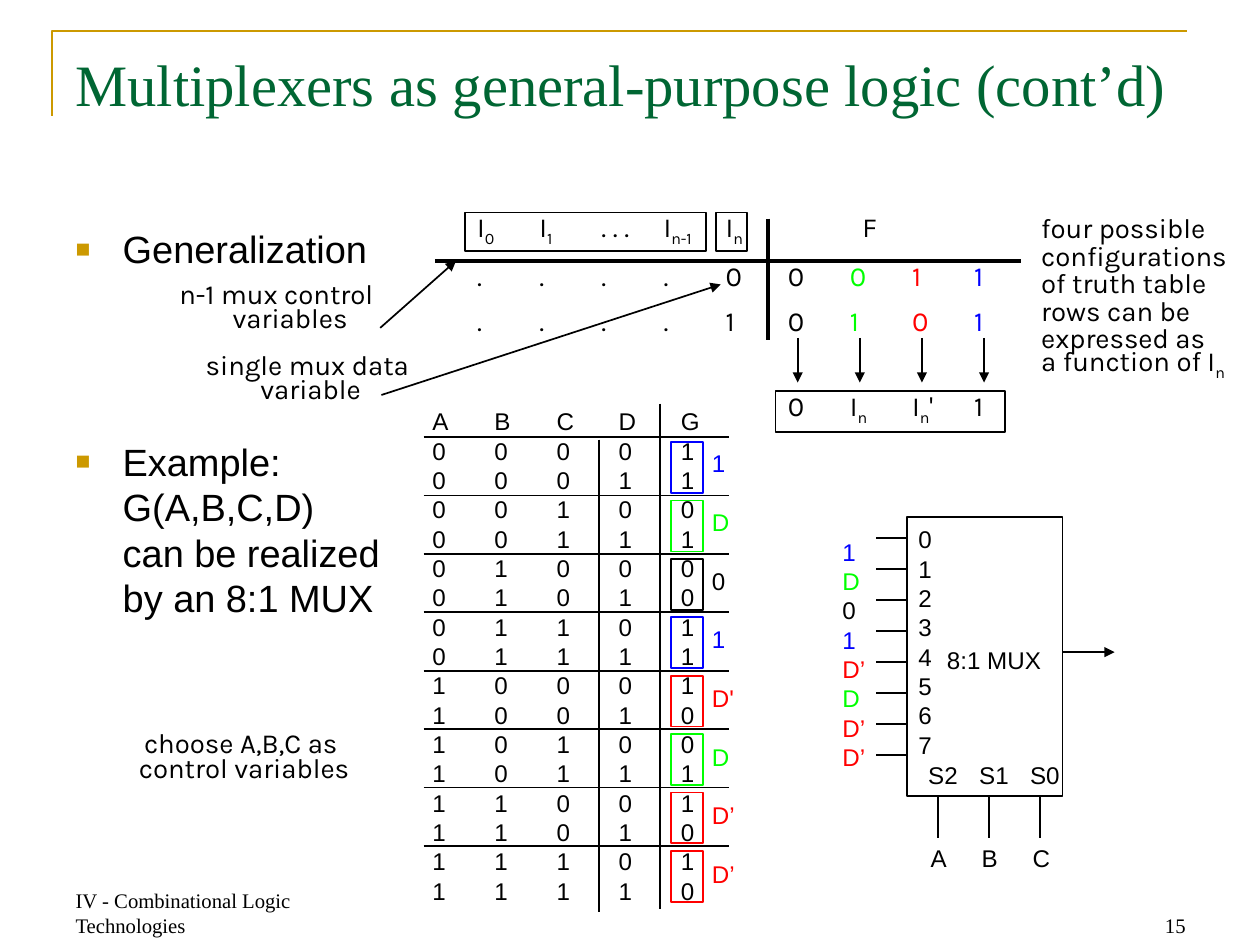
from itertools import product

from lxml import etree
from pptx import Presentation
from pptx import util as u
from pptx.dml.color import RGBColor
from pptx.enum import shapes, text
from pptx.oxml.ns import qn

SCALE = 9144  # EMU in one px, 100 px to the inch
COLORS = {
    "black": "000000",
    "gold": "CC9900",
    "title": "006633",
    "blue": "0000FF",
    "green": "00FF00",
    "red": "FF0000",
}
SERIF, SANS, HAND = "Times New Roman", "Arial", "Karla"
LEFT, CENTER, RIGHT = text.PP_ALIGN.LEFT, text.PP_ALIGN.CENTER, text.PP_ALIGN.RIGHT
SUB = "subscript"
COLUMN_TABS = (50, 100, 150, 200)

# G for each value of A, B, C, as a function of D
RESIDUES = ["1", "D", "0", "1", "D'", "D", "D’", "D’"]
RESIDUE_COLORS = {"1": "blue", "D": "green", "0": "black", "D'": "red", "D’": "red"}
RESIDUE_BITS = {"1": "11", "D": "01", "0": "00", "D'": "10", "D’": "10"}


def px(value):
    return u.Emu(value * SCALE)


def rgb(name):
    return RGBColor.from_string(COLORS[name])


def add_runs(paragraph, runs, font, size, color):
    """Each run is a string or (string, colour name or SUB); a newline breaks the line."""
    for item in runs:
        content, style = (item, None) if isinstance(item, str) else item
        for index, piece in enumerate(content.split("\n")):
            if index:
                paragraph.add_line_break()
            run = paragraph.add_run()
            run.text = piece
            run.font.name = font
            run.font.size = u.Pt(size)
            run.font.color.rgb = rgb(style if style in COLORS else color)
            if style == SUB:
                run._r.get_or_add_rPr().set("baseline", "-25000")


def add_text(slide, box, paragraphs, font=SANS, size=14, color="black", align=LEFT,
             leading=None, before=0, inset=(2, 3), anchor=text.MSO_ANCHOR.TOP):
    """Add a text box with one list of runs per paragraph; return its paragraphs."""
    shape = slide.shapes.add_textbox(*map(px, box))
    frame = shape.text_frame
    frame.word_wrap = True
    frame.vertical_anchor = anchor
    frame.margin_left = frame.margin_right = px(inset[0])
    frame.margin_top = frame.margin_bottom = px(inset[1])
    for index, runs in enumerate(paragraphs):
        paragraph = frame.add_paragraph() if index else frame.paragraphs[0]
        paragraph.alignment = align
        if leading:
            paragraph.line_spacing = u.Pt(leading)
        if index and before:
            paragraph.space_before = u.Pt(before)
        add_runs(paragraph, runs, font, size, color)
    return frame.paragraphs


def set_indent(paragraph, left, first=0):
    properties = paragraph._p.get_or_add_pPr()
    properties.set("marL", str(px(left)))
    properties.set("indent", str(px(first)))


def set_tabs(paragraph, stops):
    tab_list = etree.SubElement(paragraph._p.get_or_add_pPr(), qn("a:tabLst"))
    for stop in stops:
        etree.SubElement(tab_list, qn("a:tab"), pos=str(px(stop)), algn="l")


def set_bullet(paragraph):
    set_indent(paragraph, 38, -38)
    properties = paragraph._p.get_or_add_pPr()
    color = etree.SubElement(properties, qn("a:buClr"))
    etree.SubElement(color, qn("a:srgbClr"), val=COLORS["gold"])
    etree.SubElement(properties, qn("a:buSzPct"), val="65000")
    etree.SubElement(properties, qn("a:buFont"), typeface=SANS)
    etree.SubElement(properties, qn("a:buChar"), char="■")


def add_line(slide, start, end, width=1, arrow=False):
    connector = slide.shapes.add_connector(
        shapes.MSO_CONNECTOR.STRAIGHT, *map(px, (*start, *end)))
    connector.line.color.rgb = rgb("black")
    connector.line.width = u.Pt(width)
    if arrow:
        outline = connector.line._get_or_add_ln()
        etree.SubElement(outline, qn("a:tailEnd"), type="triangle")
    etree.SubElement(connector._element.spPr, qn("a:effectLst"))


def style_outline(shape, color, width):
    shape.shadow.inherit = False
    shape.fill.background()
    shape.line.color.rgb = rgb(color)
    shape.line.width = u.Pt(width)


def add_frame(slide, box, color="black"):
    shape = slide.shapes.add_shape(shapes.MSO_SHAPE.RECTANGLE, *map(px, box))
    style_outline(shape, color, 1)


def add_page_parts(slide):
    corner = slide.shapes.build_freeform(42, 93, scale=SCALE)
    corner.add_line_segments([(42, 25), (955, 25)], close=False)
    style_outline(corner.convert_to_shape(), "gold", 1.5)
    add_text(slide, (51, 34, 912, 126), [["Multiplexers as general-purpose logic (cont’d)"]],
             SERIF, 34, "title", inset=(10, 5))
    for left, content, align in ((51, "IV - Combinational Logic Technologies", LEFT),
                                 (727, "15", RIGHT)):
        add_text(slide, (left, 709, 237, 51), [[content]], SERIF, 12, align=align,
                 inset=(10, 5), anchor=text.MSO_ANCHOR.BOTTOM)


def add_body(slide):
    points = add_text(
        slide, (51, 177, 300, 494),
        [["Generalization"], ["Example:\nG(A,B,C,D)\ncan be realized\nby an 8:1 MUX"]],
        size=22, leading=26.3, before=97, inset=(10, 5))
    for point in points:
        set_bullet(point)


def add_notes(slide):
    control, data = add_text(
        slide, (105, 227, 240, 131),
        [["n-1 mux control \nvariables"], ["single mux data \nvariable"]],
        HAND, 16, align=CENTER, leading=14, before=13)
    set_indent(control, 17, -17)
    set_indent(data, 50)
    add_text(slide, (70, 589, 253, 111), [["choose A,B,C as \ncontrol variables"]],
             HAND, 16, align=CENTER, leading=14)
    first, _ = add_text(
        slide, (836, 174, 160, 145),
        [["four possible"],
         ["configurations\nof truth table\nrows can be\nexpressed as\na function of I", ("n", SUB)]],
        HAND, 16, leading=16)
    first.line_spacing = u.Pt(14)


def add_general_table(slide):
    rows = [
        ["I", ("0", SUB), "\tI", ("1", SUB), "\t. . .\tI", ("n-1", SUB),
         "\tI", ("n", SUB), "\tF"],
        [".\t.\t.\t.\t0\t0\t", ("0\t", "green"), ("1\t", "red"), ("1", "blue")],
        [".\t.\t.\t.\t1\t0\t", ("1\t", "green"), ("0\t", "red"), ("1", "blue")],
        ["\t0\tI", ("n", SUB), "\tI", ("n", SUB), "'\t1"],
    ]
    header, *values, result = add_text(slide, (382, 163, 439, 219), rows, HAND, 16,
                                       leading=26, inset=(2, 0))
    result.space_before = u.Pt(26)
    set_tabs(header, (*COLUMN_TABS, 310))
    for row in values:
        set_tabs(row, range(50, 401, 50))
    set_tabs(result, range(250, 401, 50))

    for box in ((624, 315, 185, 33), (374, 171, 194, 31), (576, 171, 25, 31)):
        add_frame(slide, box)
    add_line(slide, (350, 210), (822, 210), 2)
    add_line(slide, (618, 176), (618, 274), 2)
    for x in range(642, 793, 50):
        add_line(slide, (x, 272), (x, 308), arrow=True)
    add_line(slide, (306, 264), (367, 210), arrow=True)
    add_line(slide, (307, 318), (580, 229), arrow=True)


def add_truth_table(slide):
    outputs = "".join(RESIDUE_BITS[residue] for residue in RESIDUES)
    rows = ["ABCDG"] + ["".join(bits) + output
                        for bits, output in zip(product("01", repeat=4), outputs)]
    for row in add_text(slide, (346, 324, 224, 409), [["\t".join(row)] for row in rows],
                        leading=17):
        set_tabs(row, COLUMN_TABS)
    add_line(slide, (482, 354), (482, 734))
    add_line(slide, (531, 325), (531, 732))
    for index, residue in enumerate(RESIDUES):
        y = 352 + 47 * index
        add_line(slide, (341, y), (587, y))
        add_frame(slide, (540, y + 4, 26, 41), RESIDUE_COLORS[residue])
    add_text(slide, (571, 358, 42, 371),
             [[(residue, RESIDUE_COLORS[residue])] for residue in RESIDUES],
             leading=17, before=17)


def add_multiplexer(slide):
    add_frame(slide, (730, 416, 125, 225))
    add_text(slide, (676, 429, 28, 231),
             [[(residue.replace("'", "’"), RESIDUE_COLORS[residue])] for residue in RESIDUES],
             leading=17)
    add_text(slide, (737, 419, 18, 231), [[str(number)] for number in range(8)], leading=17)
    add_text(slide, (738, 516, 124, 65), [["8:1 MUX"]], align=CENTER, leading=17)
    for y in range(433, 609, 25):
        add_line(slide, (730, y), (705, y))
    for index, (select, variable) in enumerate(zip(("S2", "S1", "S0"), "ABC")):
        x = 755 + 41 * index
        add_text(slide, (x - 10, 609, 71, 65), [[select]], leading=17)
        add_line(slide, (x, 641), (x, 675))
        add_text(slide, (x - 8, 676, 61, 31), [[variable]], leading=17)
    add_line(slide, (855, 525), (897, 525), arrow=True)


def main():
    presentation = Presentation()
    presentation.slide_width, presentation.slide_height = px(1014), px(760)
    slide = presentation.slides.add_slide(presentation.slide_layouts[6])
    add_page_parts(slide)
    add_body(slide)
    add_notes(slide)
    add_general_table(slide)
    add_multiplexer(slide)
    add_truth_table(slide)
    presentation.save("out.pptx")


if __name__ == "__main__":
    main()
